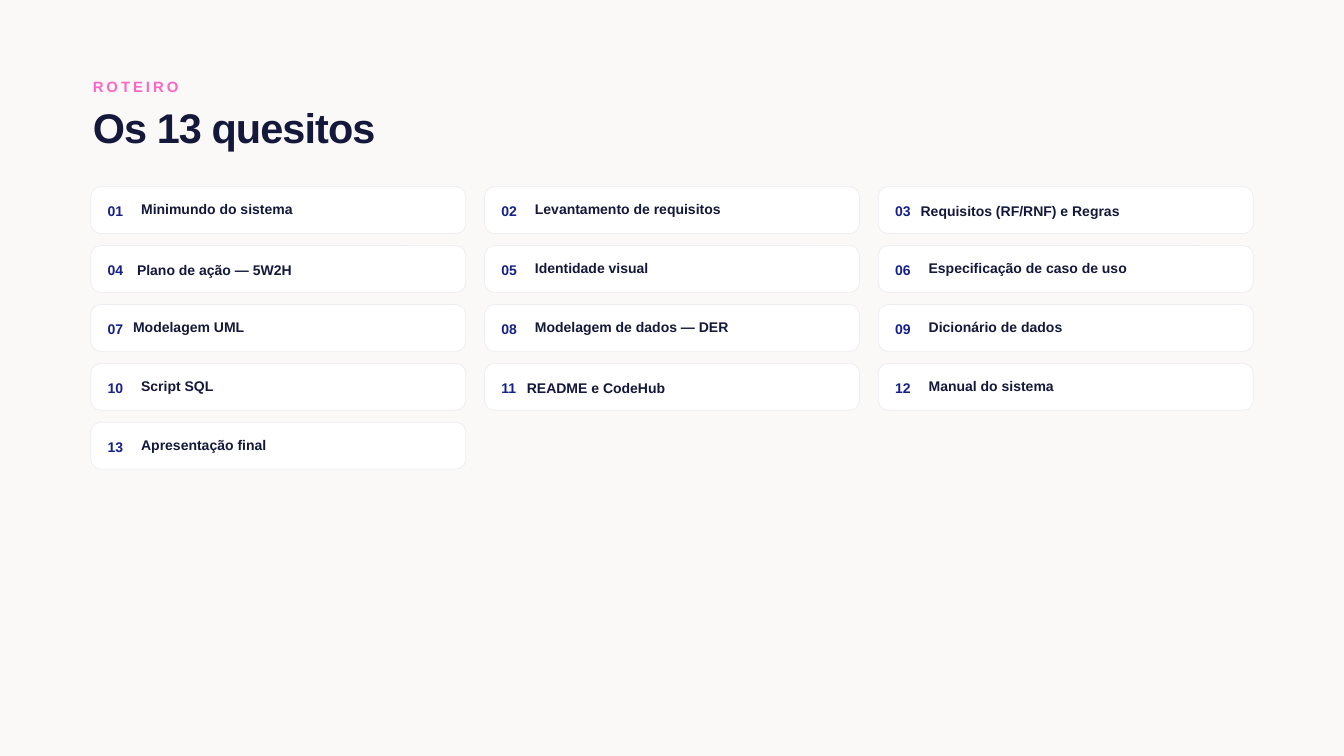
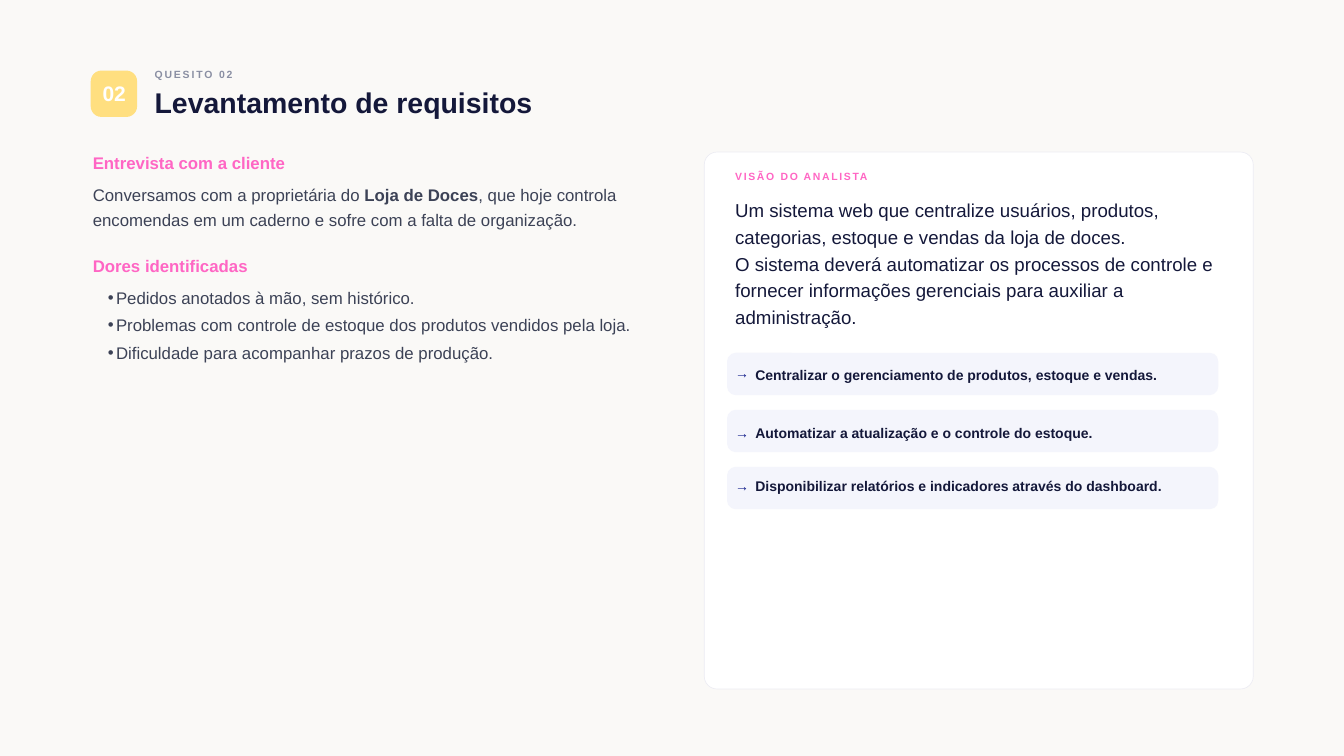
from lxml import etree
from pptx import Presentation
from pptx.dml.color import RGBColor
from pptx.enum import shapes, text
from pptx.oxml import ns
from pptx.util import Pt

FONT = "Arial"
PAPER = RGBColor(0xFA, 0xF9, 0xF7)
WHITE = RGBColor(0xFF, 0xFF, 0xFF)
BORDER = RGBColor(0xEC, 0xEC, 0xF3)
PINK = RGBColor(0xFF, 0x66, 0xC4)
NAVY = RGBColor(0x14, 0x18, 0x3A)
BLUE = RGBColor(0x15, 0x20, 0x8C)
BODY = RGBColor(0x3C, 0x42, 0x56)
GRAY = RGBColor(0x8A, 0x8F, 0xA3)
YELLOW = RGBColor(0xFF, 0xDF, 0x80)
LAVENDER = RGBColor(0xF4, 0xF5, 0xFC)

TOPICS = [
    "Minimundo do sistema", "Levantamento de requisitos", "Requisitos (RF/RNF) e Regras",
    "Plano de ação — 5W2H", "Identidade visual", "Especificação de caso de uso",
    "Modelagem UML", "Modelagem de dados — DER", "Dicionário de dados",
    "Script SQL", "README e CodeHub", "Manual do sistema",
    "Apresentação final",
]
# Offset of a topic name from its card, where it differs from the usual one
TOPIC_OFFSET = (54, 14.8)
SPECIAL_OFFSETS = {3: (45.4, 17), 4: (49.6, 17), 7: (45.4, 15), 11: (45.4, 17)}

INTERVIEW = [("Conversamos com a proprietária do ", False), ("Loja de Doces", True),
             (", que hoje controla encomendas em um caderno e sofre com a falta "
              "de organização.", False)]
PAINS = [
    "Pedidos anotados à mão, sem histórico.",
    "Problemas com controle de estoque dos produtos vendidos pela loja.",
    "Dificuldade para acompanhar prazos de produção.",
]
VISION = [
    "Um sistema web que centralize usuários, produtos, categorias, estoque e vendas "
    "da loja de doces.",
    "O sistema deverá automatizar os processos de controle e fornecer informações "
    "gerenciais para auxiliar a administração.",
]
# Goal, drop of its arrow and drop of its text below the top of the bar
GOALS = [
    ("Centralizar o gerenciamento de produtos, estoque e vendas.", 13, 14.4),
    ("Automatizar a atualização e o controle do estoque.", 15.6, 15.6),
    ("Disponibilizar relatórios e indicadores através do dashboard.", 11, 11),
]

LEFT = 97.2
TEXT_LEFT = 99.4
COLUMNS = 3
CARD_WIDTH, CARD_HEIGHT = 401.8, 50.2
CARD_TOP, COLUMN_STEP, ROW_STEP = 200, 421.9, 63.1
PANEL_TEXT_LEFT = 787.7


def add_bullet(paragraph):
    properties = paragraph._p.get_or_add_pPr()
    properties.set("marL", str(Pt(17.3)))
    properties.set("indent", str(Pt(-8.6)))
    etree.SubElement(properties, ns.qn("a:buFont")).set("typeface", FONT)
    etree.SubElement(properties, ns.qn("a:buChar")).set("char", "•")
    paragraph.level = 1


def add_text(slide, box, paragraphs, size, color, leading, bold=False, tracking=0,
             bullets=False, centered=False):
    """Each paragraph is a string or a list of (words, bold) pairs."""
    shape = slide.shapes.add_textbox(*map(Pt, box))
    frame = shape.text_frame
    frame.margin_left = frame.margin_right = frame.margin_top = frame.margin_bottom = 0
    frame.word_wrap = True
    frame.auto_size = text.MSO_AUTO_SIZE.SHAPE_TO_FIT_TEXT
    if centered:
        frame.auto_size = text.MSO_AUTO_SIZE.NONE
        frame.vertical_anchor = text.MSO_ANCHOR.MIDDLE
    for index, content in enumerate(paragraphs):
        paragraph = frame.add_paragraph() if index else frame.paragraphs[0]
        paragraph.line_spacing = Pt(leading)
        if centered:
            paragraph.alignment = text.PP_ALIGN.CENTER
        if bullets:
            add_bullet(paragraph)
        runs = [(content, bold)] if isinstance(content, str) else content
        for words, is_bold in runs:
            run = paragraph.add_run()
            run.text = words
            run.font.name = FONT
            run.font.size = Pt(size)
            run.font.bold = is_bold
            run.font.color.rgb = color
            if tracking:
                run._r.get_or_add_rPr().set("spc", str(round(tracking * 100)))


def add_card(slide, box, radius, fill=WHITE, border=None):
    card = slide.shapes.add_shape(shapes.MSO_SHAPE.ROUNDED_RECTANGLE, *map(Pt, box))
    card.adjustments[0] = radius / min(box[2:])
    card.shadow.inherit = False
    card.fill.solid()
    card.fill.fore_color.rgb = fill
    if border is None:
        card.line.fill.background()
    else:
        card.line.color.rgb = border
        card.line.width = Pt(0.67)


def add_label(slide, box, words, color=NAVY):
    add_text(slide, box, [words], 15, color, 18, bold=True)


def add_slide(presentation):
    slide = presentation.slides.add_slide(presentation.slide_layouts[6])
    slide.background.fill.solid()
    slide.background.fill.fore_color.rgb = PAPER
    return slide


def build_agenda(presentation):
    slide = add_slide(presentation)
    add_text(slide, (TEXT_LEFT, 82.8, 630.7, 20.2), ["ROTEIRO"], 16, PINK, 19.2,
             bold=True, tracking=3.2)
    add_text(slide, (TEXT_LEFT, 120.2, 506, 46), ["Os 13 quesitos"], 44.4, NAVY, 42.6,
             bold=True, tracking=-1)
    for index, topic in enumerate(TOPICS):
        row, column = divmod(index, COLUMNS)
        left = LEFT + column * COLUMN_STEP
        top = CARD_TOP + row * ROW_STEP
        number = index + 1
        dx, dy = SPECIAL_OFFSETS.get(number, TOPIC_OFFSET)
        add_card(slide, (left, top, CARD_WIDTH, CARD_HEIGHT), 10.6, border=BORDER)
        add_label(slide, (left + 18, top + 17, 27.4, 18), f"{number:02d}", BLUE)
        add_label(slide, (left + dx, top + dy, 334, 21.6), topic)


def build_requirements(presentation):
    slide = add_slide(presentation)
    add_card(slide, (LEFT, 75.6, 49.7, 49.7), 11.5, fill=YELLOW)
    add_text(slide, (101.5, 80, 41.8, 40.3), ["02"], 22.5, WHITE, 27, bold=True,
             centered=True)
    add_text(slide, (165.6, 73.4, 442, 14.4), ["QUESITO 02"], 11.2, GRAY, 13.5,
             bold=True, tracking=2)
    add_text(slide, (165.6, 95.8, 442, 33.8), ["Levantamento de requisitos"], 30.5, NAVY,
             32.2, bold=True)

    for heading, top in (("Entrevista com a cliente", 163.4), ("Dores identificadas", 274.3)):
        add_text(slide, (TEXT_LEFT, top, 230, 22.3), [heading], 18, PINK, 21.6, bold=True)
    add_text(slide, (TEXT_LEFT, 192.6, 631.4, 52.6), [INTERVIEW], 18, BODY, 26.8)
    add_text(slide, (107, 300.2, 611.3, 87.1), PAINS, 18, BODY, 29.4, bullets=True)

    add_card(slide, (754.6, 162.9, 588.2, 575.3), 13.6, border=BORDER)
    add_text(slide, (PANEL_TEXT_LEFT, 181.8, 574.6, 15.8), ["VISÃO DO ANALISTA"], 11.2,
             PINK, 13.5, bold=True, tracking=1.8)
    add_text(slide, (PANEL_TEXT_LEFT, 208.1, 537.8, 141.1), VISION, 20, NAVY, 28.8)
    for index, (goal, arrow_drop, goal_drop) in enumerate(GOALS):
        top = 378 + index * 61.1
        add_card(slide, (779, top, 526.3, 45.4), 9.2, fill=LAVENDER)
        add_label(slide, (PANEL_TEXT_LEFT, top + arrow_drop, 17.3, 18), "→", BLUE)
        add_label(slide, (809.3, top + goal_drop, 441.4, 19.4), goal)


def main():
    presentation = Presentation()
    presentation.slide_width, presentation.slide_height = Pt(1440), Pt(810)
    build_agenda(presentation)
    build_requirements(presentation)
    presentation.save("out.pptx")


if __name__ == "__main__":
    main()
